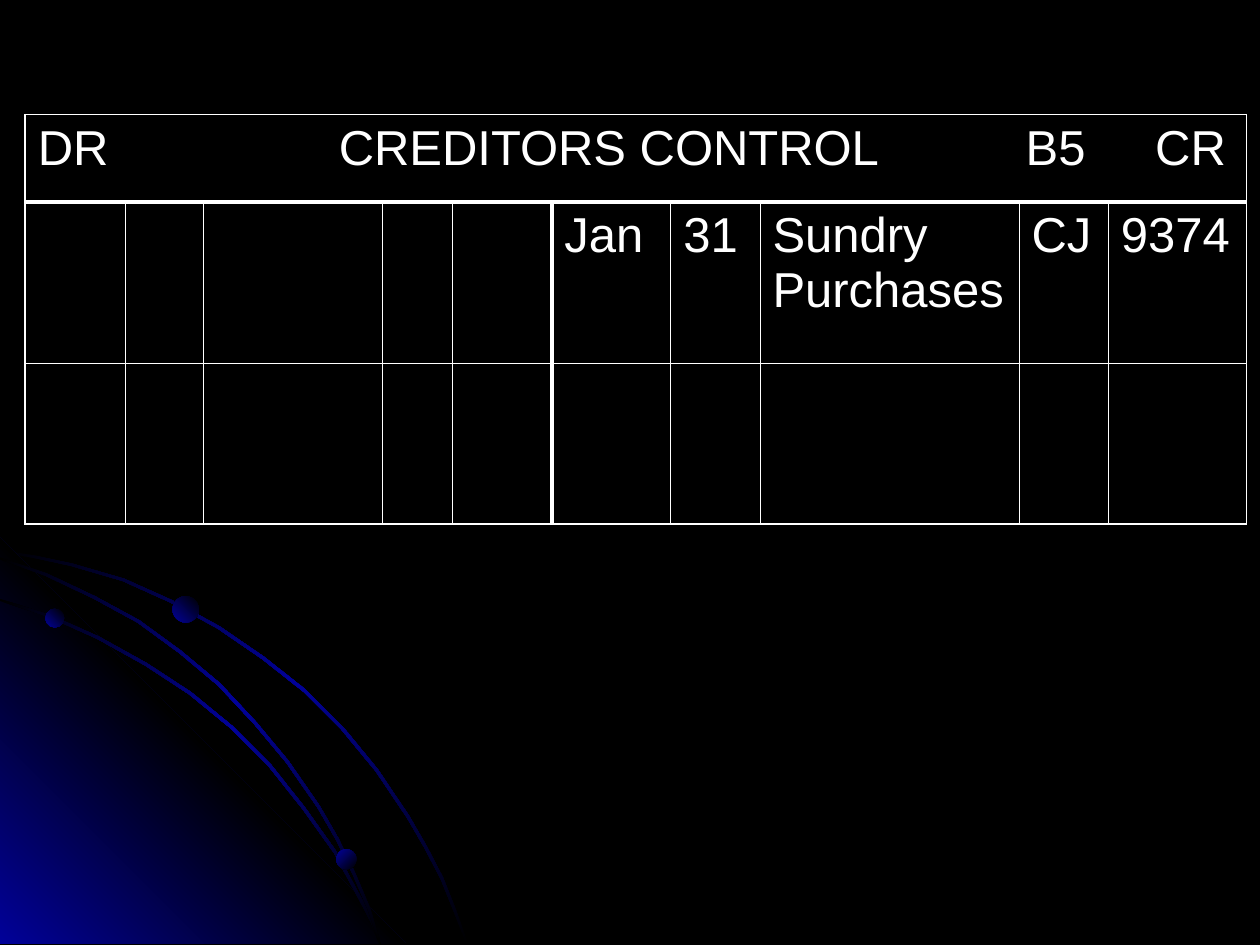
from lxml import etree
from pptx import Presentation
from pptx.dml import color
from pptx.enum import shapes, text
from pptx.oxml import ns
from pptx.util import Pt

BLACK, BLUE, WHITE = "000000", "010199", "FFFFFF"
THIN, FRAME, HEAVY = 0.45, 1.08, 2.21
ARC_THICKNESS = 1.2

OUTER_ARC = [(0, 315.4), (20.2, 319), (40.3, 323.3), (69.8, 331.9), (97.2, 344.2),
             (124.6, 359.3), (149.8, 376.6), (173.5, 395.3), (195.1, 416.9),
             (214.6, 440.6), (232.6, 467.3), (242.6, 484.6), (252, 502.6),
             (259.2, 520.6), (266.4, 539.3)]
CORNER = [(232, 539.3), (0, 539.3), (0, 307.4)]
INNER_ARC = [(0, 343.4), (28.1, 352.8), (55.4, 365), (82.8, 380.2), (108, 396.7),
             (131.8, 416.2), (153.4, 437.8), (172.8, 462.2), (190.8, 487.4),
             (205.2, 514.1), (211.7, 527), (216.7, 539.3)]
MIDDLE_ARC = [(0, 319.7), (25.9, 329), (53.3, 342), (78.5, 355.7), (102.2, 373),
              (124.6, 391.7), (145.4, 414), (163.4, 435.6), (181.4, 461.5),
              (192.2, 480.2), (201.6, 499.7), (210.2, 519.8), (216.7, 539.3)]
BEADS = [(25.9, 347.8, 10.8, 135), (192.2, 485.3, 11.5, 225), (98.6, 340.6, 15.1, 135)]

COLUMN_WIDTHS = [57, 45, 102, 40, 57, 68, 51, 148, 51, 79]
ROW_HEIGHTS = [50, 92, 92]
CREDIT_SIDE = 5  # first column right of the ledger's centre line
HEADING = "DR\tCREDITORS CONTROL\tB5\tCR"
HEADING_TABS = [172, 564.5, 638.5]
CREDIT_ENTRY = ["Jan", "31", "Sundry Purchases", "CJ", "9374"]


def rgb(value):
    return color.RGBColor.from_string(value)


def add_child(parent, tag, **attributes):
    return etree.SubElement(parent, ns.qn(tag), attributes)


def paint_gradient(shape, colours, angle):
    """Fill with evenly spaced colours; the angle runs clockwise in degrees."""
    shape.shadow.inherit = False
    shape.line.fill.background()
    shape.fill.gradient()
    gradient = shape.fill._fill._gradFill
    for child in list(gradient):
        gradient.remove(child)
    stops = add_child(gradient, "a:gsLst")
    for index, value in enumerate(colours):
        position = 100000 * index // (len(colours) - 1)
        stop = add_child(stops, "a:gs", pos=str(position))
        add_child(stop, "a:srgbClr", val=value)
    add_child(gradient, "a:lin", ang=str(angle * 60000), scaled="0")


def add_outline(page, points, colours, angle):
    corners = [(Pt(x), Pt(y)) for x, y in points]
    builder = page.shapes.build_freeform(*corners[0])
    builder.add_line_segments(corners[1:], close=True)
    paint_gradient(builder.convert_to_shape(), colours, angle)


def add_arc(page, edge):
    """Draw a thin band between the edge and the same edge shifted up and right."""
    shifted = [(x + ARC_THICKNESS, y - ARC_THICKNESS) for x, y in edge]
    shifted[0] = (edge[0][0], shifted[0][1])
    shifted[-1] = (shifted[-1][0], edge[-1][1])
    add_outline(page, edge + shifted[::-1], [BLACK, BLUE, BLACK], 225)


def add_bead(page, left, top, size, angle):
    bead = page.shapes.add_shape(shapes.MSO_SHAPE.OVAL, Pt(left), Pt(top), Pt(size), Pt(size))
    paint_gradient(bead, [BLACK, BLUE], angle)


def border_widths(row, column):
    """Widths for one cell's sides, by the ledger's ruling."""
    last_row, last_column = len(ROW_HEIGHTS) - 1, len(COLUMN_WIDTHS) - 1
    left = right = top = bottom = THIN
    if column == 0:
        left = FRAME
    if column == last_column:
        right = FRAME
    if row == 0:
        top, bottom = FRAME, HEAVY
    else:
        if row == 1:
            top = HEAVY
        if row == last_row:
            bottom = FRAME
        if column == CREDIT_SIDE:
            left = HEAVY
        if column == CREDIT_SIDE - 1:
            right = HEAVY
    return {"a:lnL": left, "a:lnR": right, "a:lnT": top, "a:lnB": bottom}


def rule_cell(cell, widths):
    properties = cell._tc.get_or_add_tcPr()
    for side, width in widths.items():
        line = add_child(properties, side, w=str(Pt(width)))
        add_child(add_child(line, "a:solidFill"), "a:srgbClr", val=WHITE)
    cell.fill.background()


def write_cell(cell, words, tabs=()):
    para = cell.text_frame.paragraphs[0]
    para.alignment = text.PP_ALIGN.LEFT
    if tabs:
        tab_list = add_child(para._p.get_or_add_pPr(), "a:tabLst")
        for position in tabs:
            add_child(tab_list, "a:tab", pos=str(Pt(position)), algn="l")
    span = para.add_run()
    span.text = words
    span.font.name = "Arial"
    span.font.size = Pt(28)
    span.font.color.rgb = rgb(WHITE)


def add_ledger(page):
    frame = page.shapes.add_table(len(ROW_HEIGHTS), len(COLUMN_WIDTHS), Pt(14.4), Pt(65.5),
                                  Pt(sum(COLUMN_WIDTHS)), Pt(sum(ROW_HEIGHTS)))
    ledger = frame.table
    ledger.first_row = ledger.horz_banding = False
    for column, width in zip(ledger.columns, COLUMN_WIDTHS):
        column.width = Pt(width)
    for row, height in zip(ledger.rows, ROW_HEIGHTS):
        row.height = Pt(height)
    for row in range(len(ROW_HEIGHTS)):
        for column in range(len(COLUMN_WIDTHS)):
            rule_cell(ledger.cell(row, column), border_widths(row, column))
    ledger.cell(0, 0).merge(ledger.cell(0, len(COLUMN_WIDTHS) - 1))
    write_cell(ledger.cell(0, 0), HEADING, HEADING_TABS)
    for column, words in enumerate(CREDIT_ENTRY, CREDIT_SIDE):
        write_cell(ledger.cell(1, column), words)


def main():
    deck = Presentation()
    deck.slide_width, deck.slide_height = Pt(720), Pt(540)
    page = deck.slides.add_slide(deck.slide_layouts[6])
    page.background.fill.solid()
    page.background.fill.fore_color.rgb = rgb(BLACK)
    add_arc(page, OUTER_ARC)
    add_outline(page, CORNER, [BLUE, BLACK, BLUE], 135)
    add_arc(page, INNER_ARC)
    add_arc(page, MIDDLE_ARC)
    for bead in BEADS:
        add_bead(page, *bead)
    add_ledger(page)
    deck.save("out.pptx")


if __name__ == "__main__":
    main()
